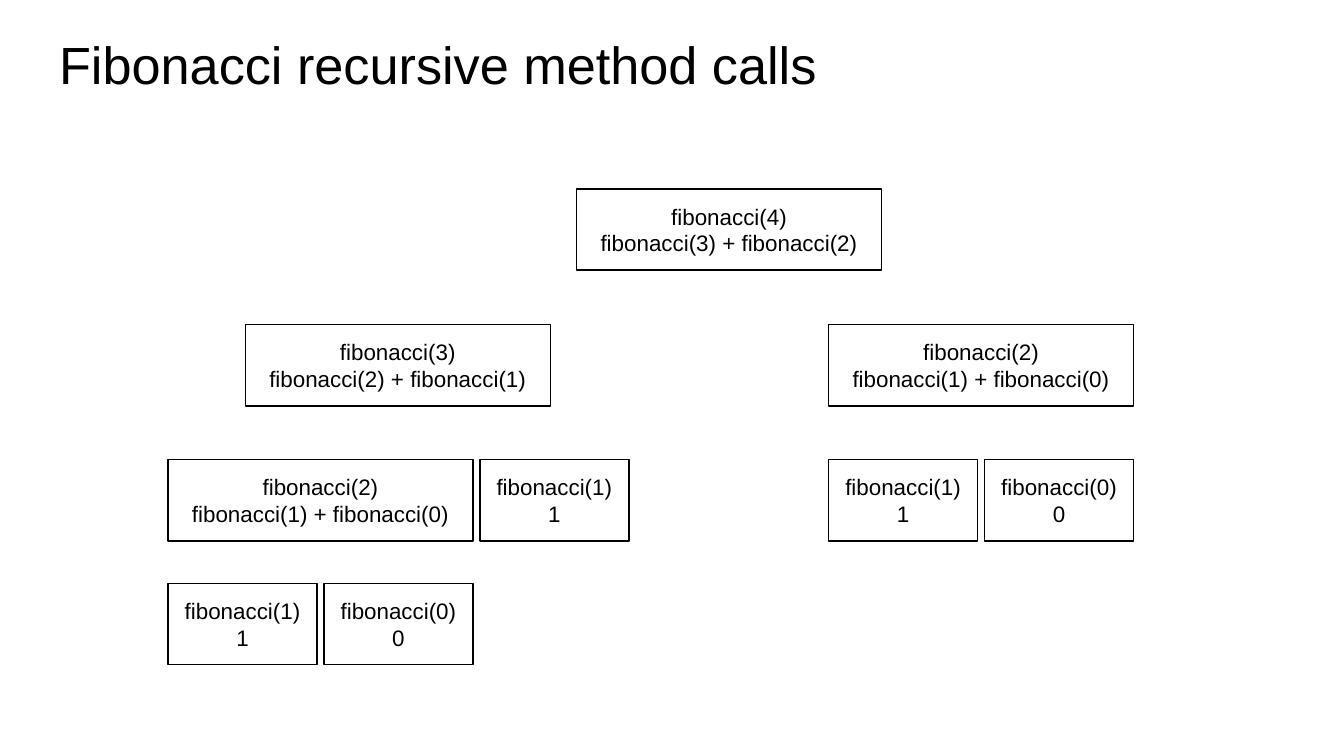
"""Build the slide showing the tree of recursive Fibonacci calls."""
from dataclasses import dataclass

from pptx import Presentation
from pptx.dml.color import RGBColor
from pptx.enum.shapes import MSO_SHAPE
from pptx.enum.text import MSO_ANCHOR, MSO_AUTO_SIZE, PP_ALIGN
from pptx.slide import Slide
from pptx.text.text import TextFrame
from pptx.util import Emu, Pt

BLACK = RGBColor(0, 0, 0)
FONT = "Arial"
INSET, BOX_H = 20, 121
WIDE, NARROW, GAP = 454, 222, 10
LEFT, RIGHT = 250, 1233
ROWS = (281, 483, 684, 868)


@dataclass(frozen=True)
class Call:
    n: int
    left: int
    row: int

    @property
    def is_base(self) -> bool:
        return self.n < 2

    @property
    def width(self) -> int:
        return NARROW if self.is_base else WIDE

    @property
    def text(self) -> str:
        n = self.n
        result = str(n) if self.is_base else f"fibonacci({n - 1}) + fibonacci({n - 2})"
        return f"fibonacci({n})\n{result}"


CALLS = (
    Call(4, 858, 0),
    Call(3, 365, 1),
    Call(2, LEFT, 2),
    Call(0, LEFT + NARROW + GAP, 3),
    Call(1, LEFT, 3),
    Call(1, LEFT + WIDE + GAP, 2),
    Call(2, RIGHT, 1),
    Call(0, RIGHT + NARROW + GAP, 2),
    Call(1, RIGHT, 2),
)


def px(n: int) -> Emu:
    """Turn px, at 200 to the inch, into EMU."""
    return Emu(n * 4572)


def write(tf: TextFrame, text: str, *, size: int, align: PP_ALIGN) -> None:
    """Fill a text frame with one formatted paragraph for each line."""
    tf.word_wrap = True
    tf.auto_size = MSO_AUTO_SIZE.NONE
    tf.vertical_anchor = MSO_ANCHOR.MIDDLE
    tf.margin_left = tf.margin_right = tf.margin_top = tf.margin_bottom = px(INSET)
    tf.text = text
    for p in tf.paragraphs:
        p.alignment = align
        p.space_before = Pt(0)
        for r in p.runs:
            r.font.name = FONT
            r.font.size = Pt(size)
            r.font.color.rgb = BLACK


def add_title(s: Slide, text: str) -> None:
    """Place and format the title placeholder."""
    sp = s.shapes.title
    sp.left, sp.top, sp.width, sp.height = px(68), px(27), px(1900), px(134)
    write(sp.text_frame, text, size=28, align=PP_ALIGN.LEFT)


def add_call(s: Slide, call: Call) -> None:
    """Draw one method call as an outlined box."""
    sp = s.shapes.add_shape(
        MSO_SHAPE.RECTANGLE, px(call.left), px(ROWS[call.row]), px(call.width), px(BOX_H)
    )
    sp.shadow.inherit = False
    sp.fill.background()
    sp.line.color.rgb = BLACK
    sp.line.width = Pt(0.75)
    write(sp.text_frame, call.text, size=12, align=PP_ALIGN.CENTER)


def main() -> None:
    """Create and save the presentation."""
    prs = Presentation()
    prs.slide_width, prs.slide_height = px(2000), px(1125)
    s = prs.slides.add_slide(prs.slide_layouts[5])
    add_title(s, "Fibonacci recursive method calls")
    for call in CALLS:
        add_call(s, call)
    prs.save("out.pptx")


if __name__ == "__main__":
    main()
